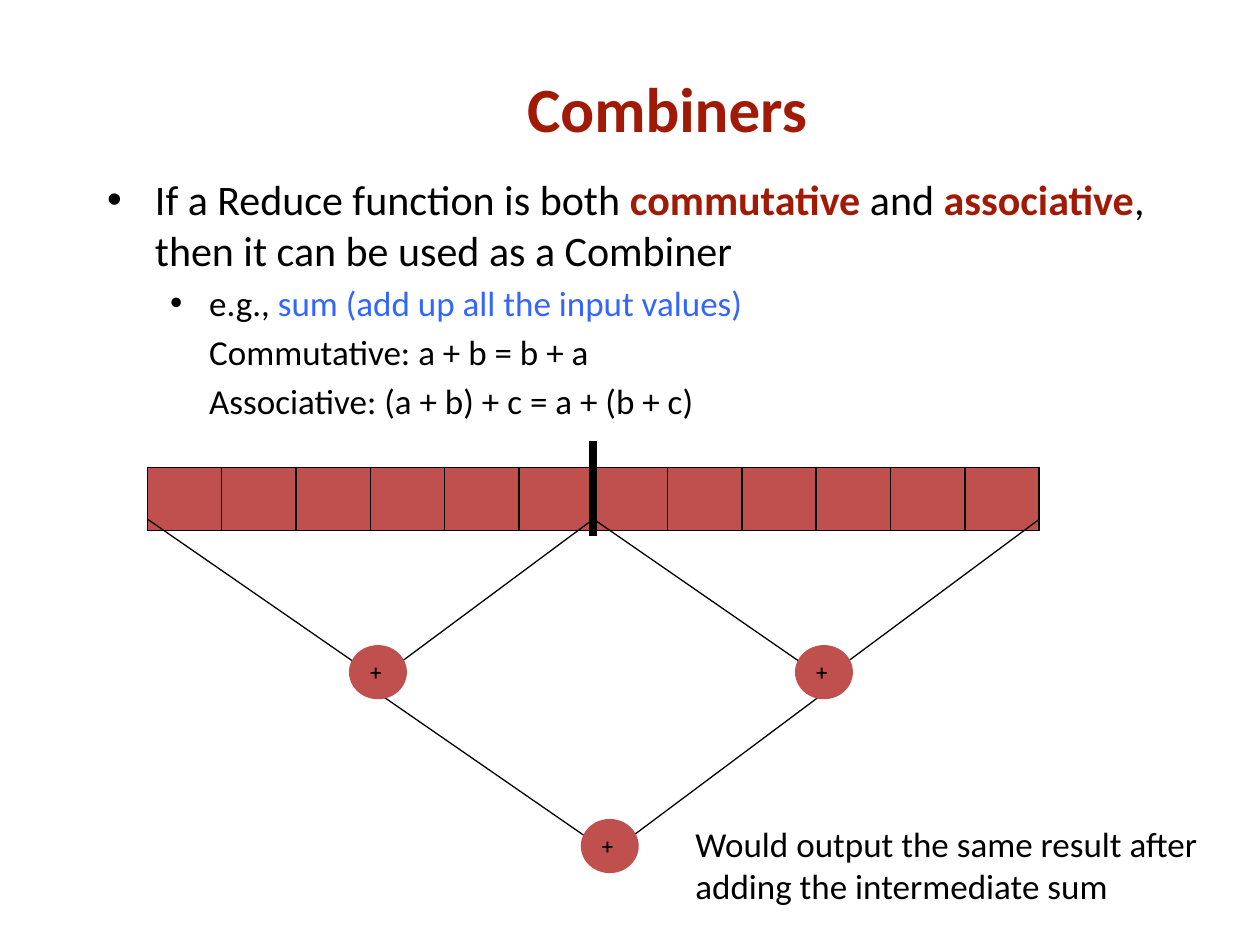
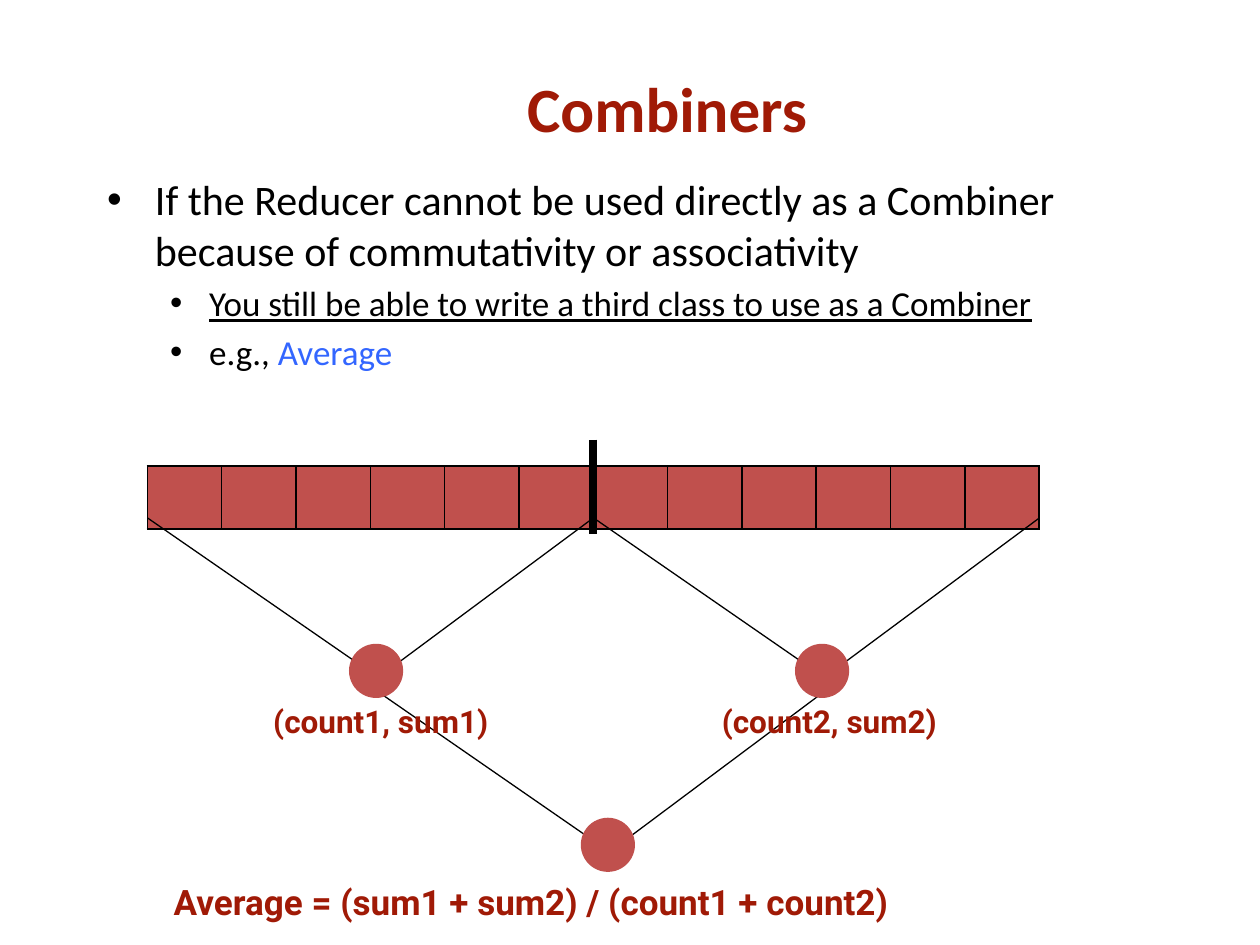
from dataclasses import dataclass

from lxml import etree
from pptx import Presentation
from pptx.dml.color import RGBColor
from pptx.enum.shapes import MSO_CONNECTOR, MSO_SHAPE
from pptx.enum.text import MSO_ANCHOR, MSO_AUTO_SIZE, PP_ALIGN
from pptx.oxml.ns import qn
from pptx.util import Inches, Pt

STRAIGHT = MSO_CONNECTOR.STRAIGHT
ELLIPSE = MSO_SHAPE.OVAL
TOP, MIDDLE = MSO_ANCHOR.TOP, MSO_ANCHOR.MIDDLE
NO_AUTOFIT = MSO_AUTO_SIZE.NONE
LEFT, CENTER = PP_ALIGN.LEFT, PP_ALIGN.CENTER


@dataclass(frozen=True)
class Theme:
    ink: str = "000000"
    accent: str = "A01A06"
    example: str = "3366FF"
    block: str = "C0504D"
    body_font: str = "Calibri"
    label_font: str = "Roboto"
    title_size: int = 36
    lead_size: int = 24
    text_size: int = 20
    label_size: int = 18
    node_size: int = 12
    border: float = 1
    edge: float = 0.75
    splitter: float = 4.5


T = Theme()
STRONG = {"color": T.accent, "bold": True}
EXAMPLE = {"color": T.example}
UNDERLINED = {"underline": True}

# Paragraph kinds: level, left margin, first-line indent, bullet, size
LEAD = (0, 0.38, -0.38, True, T.lead_size)
POINT = (1, 0.81, -0.31, True, T.text_size)
PLAIN = (1, 0.81, 0, False, T.text_size)

BAR_LEFT, BAR_WIDTH, BAR_HEIGHT = 1.17, 7.08, 0.5
CELLS = 12
HALF = BAR_WIDTH / 2


def add_run(p, text, color=T.ink, **formats):
    r = p.add_run()
    r.text = text
    r.font.color.rgb = RGBColor.from_string(color)
    for name, value in formats.items():
        setattr(r.font, name, value)


def place(shape, left, top, width, height):
    shape.left, shape.top = Inches(left), Inches(top)
    shape.width, shape.height = Inches(width), Inches(height)


def set_frame(tf, **formats):
    for name, value in formats.items():
        setattr(tf, name, value)


def set_indent(p, margin, indent, bullet):
    pPr = p._p.get_or_add_pPr()
    pPr.set("marL", str(Inches(margin)))
    pPr.set("indent", str(Inches(indent)))
    if bullet:
        color = etree.SubElement(pPr, qn("a:buClr"))
        etree.SubElement(color, qn("a:srgbClr"), val=T.ink)
        etree.SubElement(pPr, qn("a:buFont"), typeface="Arial")
        etree.SubElement(pPr, qn("a:buChar"), char="•")
    else:
        etree.SubElement(pPr, qn("a:buNone"))


def add_body(s, paragraphs):
    """Fill the body from (kind, runs) pairs; each run is (text, formats)."""
    body = s.placeholders[1]
    place(body, 0.75, 1.33, 8.5, 5.17)
    tf = body.text_frame
    set_frame(tf, auto_size=NO_AUTOFIT, vertical_anchor=TOP, word_wrap=True)
    for i, (kind, runs) in enumerate(paragraphs):
        level, margin, indent, bullet, size = kind
        p = tf.add_paragraph() if i else tf.paragraphs[0]
        set_indent(p, margin, indent, bullet)
        p.level = level
        p.space_before = Pt(size * 0.2 if i else 0)
        for text, formats in runs:
            add_run(p, text, size=Pt(size), name=T.body_font, **formats)


def add_titled_slide(prs, title, paragraphs):
    s = prs.slides.add_slide(prs.slide_layouts[1])
    place(s.shapes.title, 0.92, 0.5, 8.75, 1.25)
    tf = s.shapes.title.text_frame
    set_frame(tf, auto_size=NO_AUTOFIT, vertical_anchor=TOP, word_wrap=True)
    p = tf.paragraphs[0]
    p.alignment = CENTER
    add_run(p, title, size=Pt(T.title_size), name=T.body_font, **STRONG)
    add_body(s, paragraphs)
    return s


def add_label(s, box, text, **formats):
    tf = s.shapes.add_textbox(*map(Inches, box)).text_frame
    tf.word_wrap = True
    add_run(tf.paragraphs[0], text, **formats)


def add_line(s, start, end, weight):
    line = s.shapes.add_connector(STRAIGHT, *map(Inches, start + end))
    line.line.color.rgb = RGBColor.from_string(T.ink)
    line.line.width = Pt(weight)
    etree.SubElement(line._element.spPr, qn("a:effectLst"))


def add_node(s, left, top, width, text):
    node = s.shapes.add_shape(ELLIPSE, *map(Inches, (left, top, width, 0.43)))
    node.shadow.inherit = False
    node.fill.solid()
    node.fill.fore_color.rgb = RGBColor.from_string(T.block)
    node.line.fill.background()
    if text:
        tf = node.text_frame
        set_frame(tf, word_wrap=False, vertical_anchor=MIDDLE)
        tf.paragraphs[0].alignment = LEFT
        add_run(tf.paragraphs[0], text, size=Pt(T.node_size), name=T.label_font)


def set_borders(cell):
    tcPr = cell._tc.get_or_add_tcPr()
    for i, side in enumerate(("a:lnL", "a:lnR", "a:lnT", "a:lnB")):
        ln = etree.Element(qn(side), w=str(Pt(T.border)))
        fill = etree.SubElement(ln, qn("a:solidFill"))
        etree.SubElement(fill, qn("a:srgbClr"), val=T.ink)
        tcPr.insert(i, ln)


def add_input_bar(s, top):
    box = map(Inches, (BAR_LEFT, top, BAR_WIDTH, BAR_HEIGHT))
    table = s.shapes.add_table(1, CELLS, *box).table
    table.first_row = table.horz_banding = False
    for cell in table.iter_cells():
        cell.fill.solid()
        cell.fill.fore_color.rgb = RGBColor.from_string(T.block)
        set_borders(cell)


def add_combine_tree(s, top, node_width, node_text=""):
    """Draw the split input bar, one node per half and the merging node."""
    add_input_bar(s, top)
    middle = BAR_LEFT + HALF
    add_line(s, (middle, top - 0.21), (middle, top + 0.54), T.splitter)
    edges = [((3, top + 1.79), (4.75, top + 3)),
             ((6.54, top + 1.79), (4.92, top + 3))]
    nodes = [(4.61, top + 2.79)]
    for left in (BAR_LEFT, middle):
        edges += [((left, top + 0.41), (left + 1.75, top + 1.62)),
                  ((left + HALF, top + 0.41), (left + 1.91, top + 1.62))]
        nodes.append((left + 1.6, top + 1.41))
    for start, end in edges:
        add_line(s, start, end, T.edge)
    for node_left, node_top in nodes:
        add_node(s, node_left, node_top, node_width, node_text)


def build_sum_slide(prs):
    s = add_titled_slide(prs, "Combiners", [
        (LEAD, [("If a Reduce function is both ", {}), ("commutative", STRONG),
                (" and ", {}), ("associative", STRONG),
                (", then it can be used as a Combiner", {})]),
        (POINT, [("e.g., ", {}), ("sum (add up all the input values)", EXAMPLE)]),
        (PLAIN, [("Commutative: a + b = b + a", {})]),
        (PLAIN, [("Associative: (a + b) + c = a + (b + c)", {})]),
    ])
    add_combine_tree(s, 3.71, 0.46, "+")
    add_label(s, (5.42, 6.48, 4.42, 0.77),
              "Would output the same result after adding the intermediate sum",
              size=Pt(T.text_size), name=T.body_font)


def build_average_slide(prs):
    s = add_titled_slide(prs, "Combiners", [
        (LEAD, [("If the Reducer cannot be used directly as a Combiner because "
                 "of commutativity or associativity", {})]),
        (POINT, [("You still be able to write a third class to use as a Combiner",
                  UNDERLINED)]),
        (POINT, [("e.g., ", {}), ("Average", EXAMPLE)]),
    ])
    add_combine_tree(s, 3.7, 0.43)
    for box, text, size in (
        ((2.07, 5.52, 2.15, 0.4), "(count1, sum1)", T.label_size),
        ((5.63, 5.52, 2.15, 0.4), "(count2, sum2)", T.label_size),
        ((1.28, 6.94, 6.86, 0.44),
         "Average = (sum1 + sum2) / (count1 + count2)", T.text_size),
    ):
        add_label(s, box, text, size=Pt(size), name=T.label_font, **STRONG)


def main():
    prs = Presentation()
    prs.slide_width, prs.slide_height = Inches(10), Inches(7.5)
    build_sum_slide(prs)
    build_average_slide(prs)
    prs.save("out.pptx")


if __name__ == "__main__":
    main()
